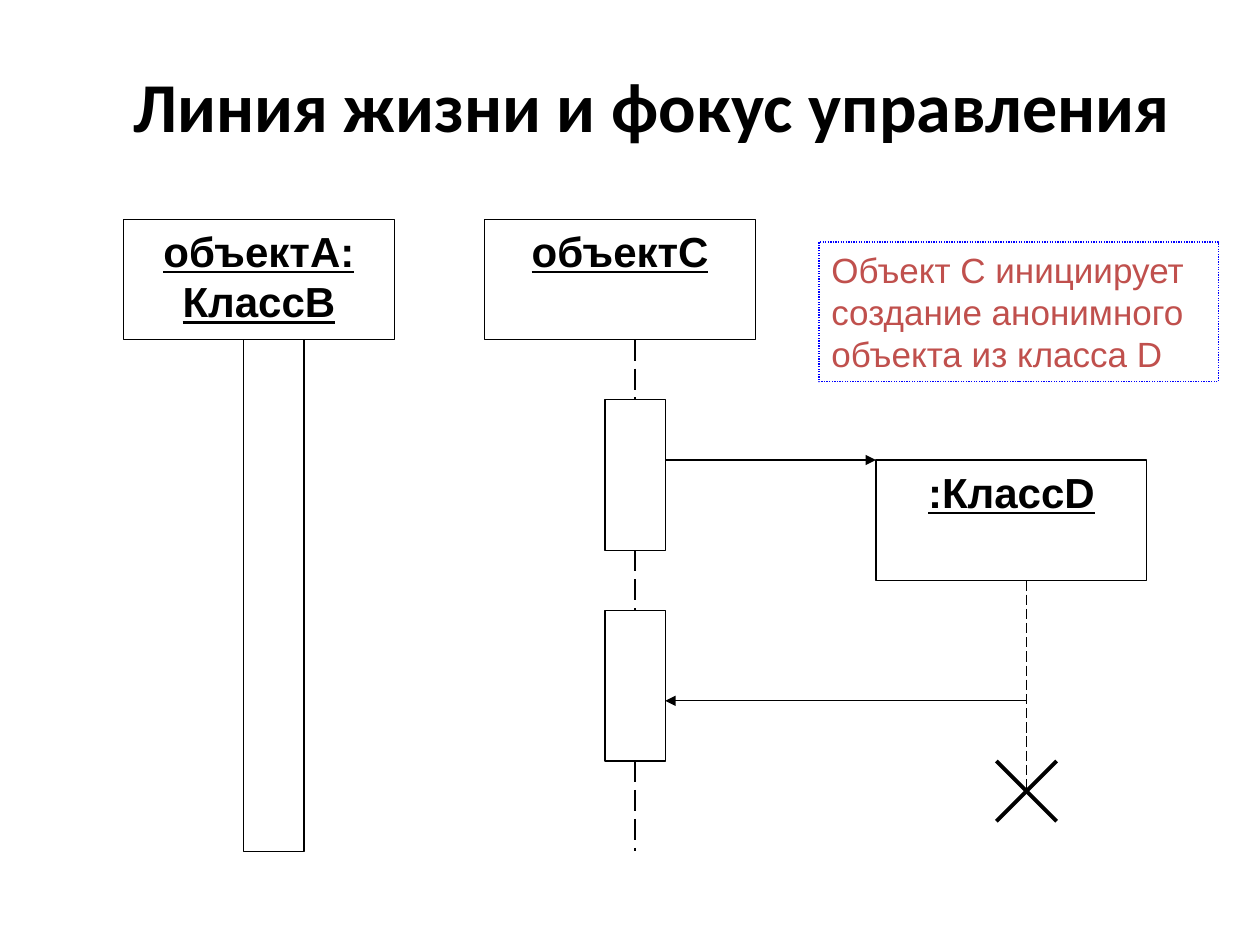
from dataclasses import dataclass

from lxml.etree import SubElement
from pptx import Presentation
from pptx.dml.color import RGBColor
from pptx.enum.dml import MSO_LINE
from pptx.enum.shapes import MSO_CONNECTOR, MSO_SHAPE
from pptx.enum.text import MSO_ANCHOR, MSO_AUTO_SIZE, PP_ALIGN
from pptx.oxml.ns import qn
from pptx.util import Inches, Pt


@dataclass(frozen=True)
class Theme:
    ink: RGBColor = RGBColor(0, 0, 0)
    paper: RGBColor = RGBColor(255, 255, 255)
    note_text: RGBColor = RGBColor(0xC0, 0x50, 0x4D)
    note_border: RGBColor = RGBColor(0, 0, 255)
    title_font: str = "Calibri"
    body_font: str = "Arial"
    title_size: float = 40
    object_size: float = 24
    note_size: float = 20
    thin: float = 0.75
    medium: float = 1.5
    thick: float = 2.25


THEME = Theme()
TITLE = "Линия жизни и фокус управления"
NOTE = "Объект С инициирует создание анонимного объекта из класса D"

LEFT, TOP = 0.98, 1.74
UNIT = 2.15 / 9
OBJECT_SIZE = (9, 4)

OBJECTS = [
    ("объектА:\nКлассВ", 0, 0),
    ("объектС", 12, 0),
    (":КлассD", 25, 8),
]
FOCUS_BARS = [(4, 4, 2, 17), (16, 6, 2, 5), (16, 13, 2, 5)]
LIFELINES = [
    ((17, 4), (17, 6), THEME.medium),
    ((17, 11), (17, 13), THEME.medium),
    ((17, 18), (17, 21), THEME.medium),
    ((30, 12), (30, 19), THEME.thin),
]
MESSAGES = [((18, 8), (25, 8)), ((30, 16), (18, 16))]
DESTRUCTION = [((29, 18), (31, 20)), ((31, 18), (29, 20))]


def grid_x(column):
    return Inches(LEFT + column * UNIT)


def grid_y(row):
    return Inches(TOP + row * UNIT)


def write(shape, text, size, color, font, align, bold=False, underline=False):
    frame = shape.text_frame
    frame.text = text
    frame.word_wrap = True
    for para in frame.paragraphs:
        para.alignment = align
        for span in para.runs:
            span.font.name = font
            span.font.size = Pt(size)
            span.font.bold = bold
            span.font.underline = underline
            span.font.color.rgb = color


def add_box(page, column, row, columns, rows, anchors):
    box = page.shapes.add_shape(
        MSO_SHAPE.RECTANGLE, grid_x(column), grid_y(row),
        Inches(columns * UNIT), Inches(rows * UNIT))
    box.shadow.inherit = False
    box.fill.solid()
    box.fill.fore_color.rgb = THEME.paper
    box.line.color.rgb = THEME.ink
    box.line.width = Pt(THEME.thin)
    box.text_frame.vertical_anchor = MSO_ANCHOR.TOP
    middle_x, middle_y = column + columns / 2, row + rows / 2
    sides = [(middle_x, row), (column, middle_y),
             (middle_x, row + rows), (column + columns, middle_y)]
    anchors.update({point: (box, site) for site, point in enumerate(sides)})
    return box


def add_line(page, start, end, width, anchors, dashed=False, arrow=False):
    line = page.shapes.add_connector(
        MSO_CONNECTOR.STRAIGHT, grid_x(start[0]), grid_y(start[1]),
        grid_x(end[0]), grid_y(end[1]))
    line.line.color.rgb = THEME.ink
    line.line.width = Pt(width)
    if dashed:
        line.line.dash_style = MSO_LINE.LONG_DASH
    if arrow:
        SubElement(line.line._get_or_add_ln(), qn("a:tailEnd"), type="triangle")
    SubElement(line._element.spPr, qn("a:effectLst"))
    if start in anchors:
        line.begin_connect(*anchors[start])
    if end in anchors:
        line.end_connect(*anchors[end])


def add_title(page):
    title = page.shapes.title
    title.left, title.top = Inches(0.17), Inches(0.08)
    title.width, title.height = Inches(10), Inches(1.5)
    write(title, TITLE, THEME.title_size, THEME.ink, THEME.title_font,
          PP_ALIGN.CENTER, bold=True)
    title.text_frame.vertical_anchor = MSO_ANCHOR.MIDDLE
    title.text_frame.auto_size = MSO_AUTO_SIZE.NONE


def add_note(page):
    note = page.shapes.add_shape(
        MSO_SHAPE.RECTANGLE, Inches(6.5), Inches(1.92), Inches(3.17), Inches(1.11))
    note.shadow.inherit = False
    note.fill.background()
    note.line.color.rgb = THEME.note_border
    note.line.width = Pt(THEME.thin)
    note.line.dash_style = MSO_LINE.ROUND_DOT
    write(note, NOTE, THEME.note_size, THEME.note_text, THEME.body_font, PP_ALIGN.LEFT)
    note.text_frame.vertical_anchor = MSO_ANCHOR.TOP
    note.text_frame.auto_size = MSO_AUTO_SIZE.SHAPE_TO_FIT_TEXT


def main():
    deck = Presentation()
    deck.slide_width, deck.slide_height = Inches(10), Inches(7.5)
    page = deck.slides.add_slide(deck.slide_layouts[5])
    anchors = {}
    add_title(page)
    for name, column, row in OBJECTS:
        box = add_box(page, column, row, *OBJECT_SIZE, anchors)
        write(box, name, THEME.object_size, THEME.ink, THEME.body_font,
              PP_ALIGN.CENTER, bold=True, underline=True)
    for bar in FOCUS_BARS:
        add_box(page, *bar, anchors)
    for start, end, width in LIFELINES:
        add_line(page, start, end, width, anchors, dashed=True)
    for start, end in MESSAGES:
        add_line(page, start, end, THEME.thin, anchors, arrow=True)
    for start, end in DESTRUCTION:
        add_line(page, start, end, THEME.thick, anchors)
    add_note(page)
    deck.save("out.pptx")


if __name__ == "__main__":
    main()
